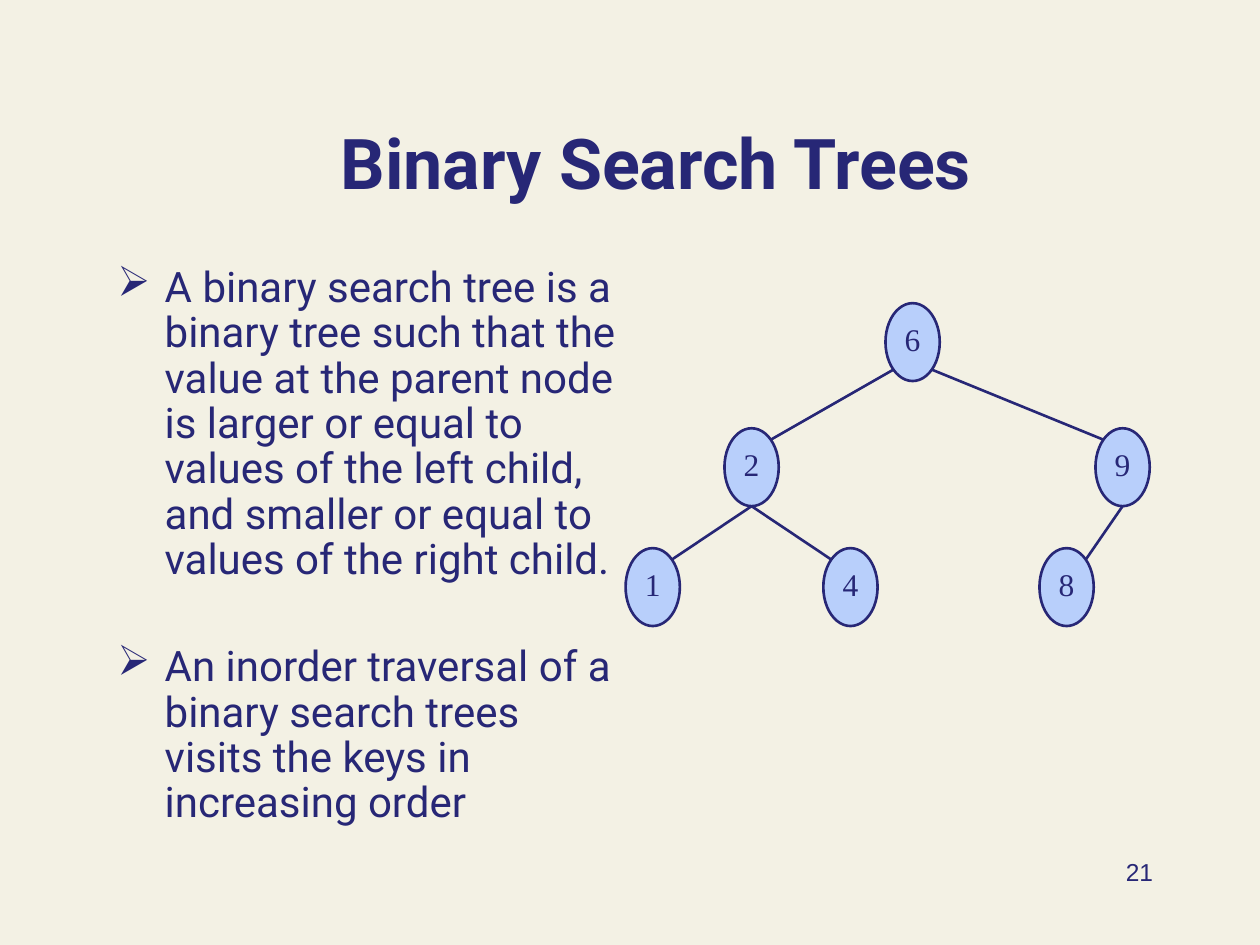
from dataclasses import dataclass
from math import sqrt

from lxml.etree import SubElement
from pptx import Presentation
from pptx.dml.color import RGBColor
from pptx.enum.shapes import MSO_CONNECTOR as Connector, MSO_SHAPE as Shape
from pptx.enum.text import MSO_ANCHOR as Anchor, PP_ALIGN as Align
from pptx.oxml.ns import qn
from pptx.util import Pt

NAVY = "272776"
LIGHT_BLUE = "B8CFFB"
CREAM = "F3F1E4"
NODE_WIDTH, NODE_HEIGHT = 31, 44.5
LINE_WIDTH = 1.5
BULLET_INDENT = 27


@dataclass(frozen=True)
class Node:
    key: str
    x: float
    y: float

    def port(self, across: int, down: int) -> tuple[float, float]:
        """Point on the outline in the given direction (each -1, 0 or 1)."""
        length = sqrt(across ** 2 + down ** 2)
        return (self.x + across * NODE_WIDTH / 2 / length,
                self.y + down * NODE_HEIGHT / 2 / length)


@dataclass(frozen=True)
class Edge:
    parent: str
    child: str
    from_bottom: bool = True


LEVELS = (195.5, 267, 335.5)
NODES = {node.key: node for node in (
    Node("6", 521.5, LEVELS[0]),
    Node("2", 429.5, LEVELS[1]),
    Node("9", 641.5, LEVELS[1]),
    Node("1", 373, LEVELS[2]),
    Node("4", 486, LEVELS[2]),
    Node("8", 609.5, LEVELS[2]),
)}
EDGES = (
    Edge("6", "2", from_bottom=False),
    Edge("6", "9", from_bottom=False),
    Edge("2", "1"),
    Edge("2", "4"),
    Edge("9", "8"),
)
BULLETS = (
    "A binary search tree is a binary tree such that the value at the parent node "
    "is larger or equal to values of the left child, and smaller or equal to values "
    "of the right child.",
    "An inorder traversal of a binary search trees visits the keys in increasing order",
)


def color(hex_value: str) -> RGBColor:
    return RGBColor.from_string(hex_value)


def style(paragraph, name: str, size: float, bold: bool = False) -> None:
    font = paragraph.font
    font.name, font.size, font.bold = name, Pt(size), bold
    font.color.rgb = color(NAVY)


def add_text_box(slide, left: float, top: float, width: float, height: float,
                 anchor=Anchor.TOP):
    box = slide.shapes.add_textbox(Pt(left), Pt(top), Pt(width), Pt(height))
    frame = box.text_frame
    frame.word_wrap = True
    frame.vertical_anchor = anchor
    return frame


def add_bullet(paragraph) -> None:
    properties = paragraph._p.get_or_add_pPr()
    properties.set("marL", str(Pt(BULLET_INDENT)))
    properties.set("indent", str(-Pt(BULLET_INDENT)))
    bullet_color = SubElement(properties, qn("a:buClr"))
    SubElement(bullet_color, qn("a:srgbClr"), val=NAVY)
    SubElement(properties, qn("a:buChar"), char="➢")


def add_bullets(slide) -> None:
    frame = add_text_box(slide, 60, 148.5, 300, 360)
    for index, text in enumerate(BULLETS):
        paragraph = frame.add_paragraph() if index else frame.paragraphs[0]
        paragraph.text = text
        paragraph.line_spacing = 0.9
        if index:
            paragraph.space_before = Pt(35.5)
        add_bullet(paragraph)
        style(paragraph, "Roboto", 24)


def add_edge(slide, edge: Edge) -> None:
    parent, child = NODES[edge.parent], NODES[edge.child]
    side = 1 if child.x > parent.x else -1
    start = parent.port(0 if edge.from_bottom else side, 1)
    end = child.port(-side, -1)
    line = slide.shapes.add_connector(
        Connector.STRAIGHT, *(Pt(value) for value in start + end))
    line.line.color.rgb = color(NAVY)
    line.line.width = Pt(LINE_WIDTH)
    SubElement(line._element.spPr, qn("a:effectLst"))


def add_node(slide, node: Node) -> None:
    oval = slide.shapes.add_shape(
        Shape.OVAL, Pt(node.x - NODE_WIDTH / 2), Pt(node.y - NODE_HEIGHT / 2),
        Pt(NODE_WIDTH), Pt(NODE_HEIGHT))
    oval.shadow.inherit = False
    oval.fill.solid()
    oval.fill.fore_color.rgb = color(LIGHT_BLUE)
    oval.line.color.rgb = color(NAVY)
    oval.line.width = Pt(LINE_WIDTH)
    frame = oval.text_frame
    frame.margin_left = frame.margin_right = frame.margin_top = 0
    frame.margin_bottom = Pt(3.6)
    frame.vertical_anchor = Anchor.MIDDLE
    paragraph = frame.paragraphs[0]
    paragraph.text = node.key
    paragraph.alignment = Align.CENTER
    style(paragraph, "Times New Roman", 18)


def main() -> None:
    presentation = Presentation()
    presentation.slide_width, presentation.slide_height = Pt(720), Pt(540)
    slide = presentation.slides.add_slide(presentation.slide_layouts[6])
    slide.background.fill.solid()
    slide.background.fill.fore_color.rgb = color(CREAM)

    title = add_text_box(slide, 72, 30, 605.5, 90, Anchor.BOTTOM).paragraphs[0]
    title.text = "Binary Search Trees"
    title.alignment = Align.CENTER
    style(title, "Roboto", 40, bold=True)

    add_bullets(slide)

    number = add_text_box(slide, 516, 486, 150, 36).paragraphs[0]
    number.text = "21"
    number.alignment = Align.RIGHT
    style(number, "Arial", 14)

    for edge in EDGES:
        add_edge(slide, edge)
    for node in NODES.values():
        add_node(slide, node)

    presentation.save("out.pptx")


if __name__ == "__main__":
    main()
